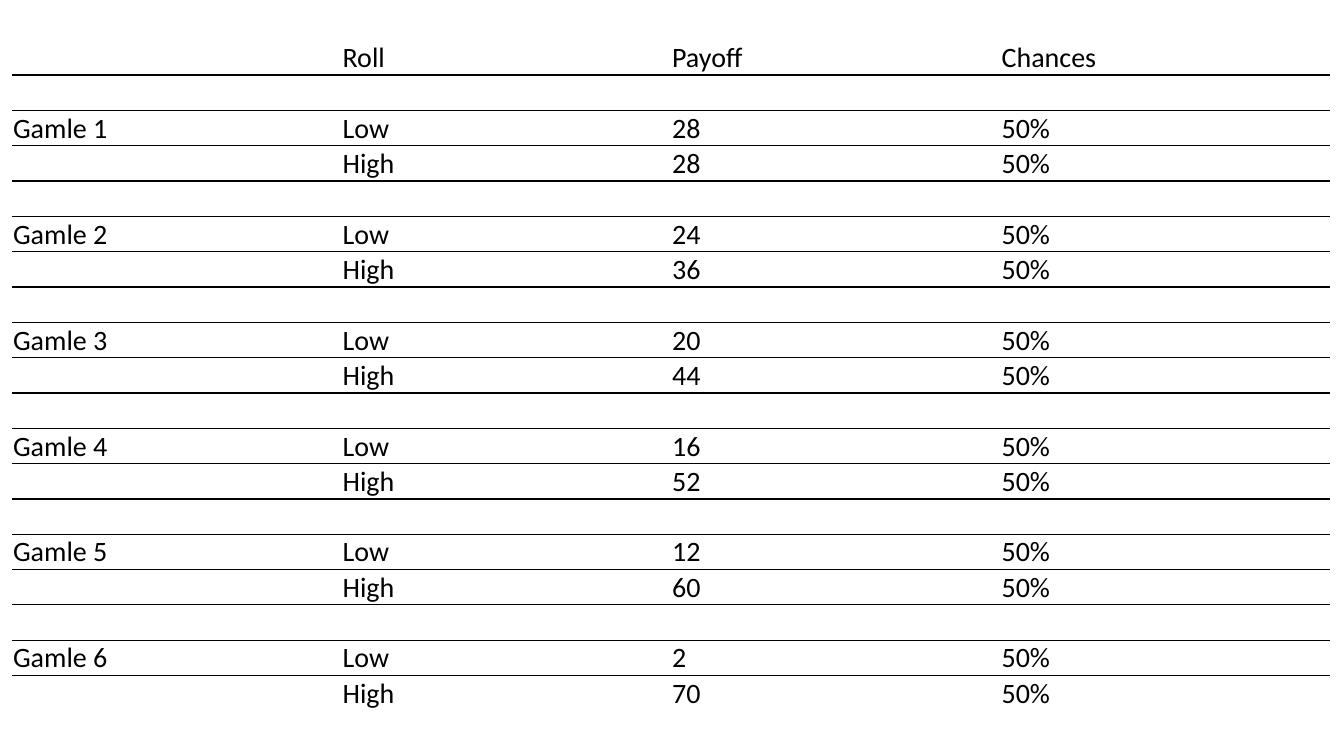
import dataclasses

import lxml.etree
import pptx
import pptx.dml.color
import pptx.enum.text
import pptx.oxml.ns
import pptx.util

Pt = pptx.util.Pt
qn = pptx.oxml.ns.qn


@dataclasses.dataclass(frozen=True)
class Theme:
    font: str = "Calibri"
    size: float = 20
    ink: str = "000000"
    rule: float = 1
    inset: float = 0.72
    plain_table: str = "{2D5ABB26-0587-4C30-8999-92F81FD0307C}"


THEME = Theme()
HEADER = ("", "Roll", "Payoff", "Chances")
PAYOFFS = ((28, 28), (24, 36), (20, 44), (16, 52), (12, 60), (2, 70))
CHANCE = "50%"


def write_text(tf, text, size=THEME.size, font=THEME.font, color=THEME.ink):
    r = tf.paragraphs[0].add_run()
    r.text = text
    r.font.size = Pt(size)
    r.font.name = font
    r.font.color.rgb = pptx.dml.color.RGBColor.from_string(color)


def add_rule(cell, side):
    tc_pr = cell._tc.get_or_add_tcPr()
    ln = lxml.etree.SubElement(tc_pr, qn(f"a:ln{side}"), w=str(Pt(THEME.rule)))
    fill = lxml.etree.SubElement(ln, qn("a:solidFill"))
    lxml.etree.SubElement(fill, qn("a:srgbClr"), val=THEME.ink)


def gamble_rows():
    rows = [HEADER]
    for number, (low, high) in enumerate(PAYOFFS, 1):
        rows += [
            ("",) * len(HEADER),
            (f"Gamle {number}", "Low", str(low), CHANCE),
            ("", "High", str(high), CHANCE),
        ]
    return rows


def add_gamble_table(s, left, top, width, height):
    rows = gamble_rows()
    frame = s.shapes.add_table(
        len(rows), len(HEADER), Pt(left), Pt(top), Pt(width), Pt(height)
    )
    table = frame.table
    table.horz_banding = False
    table._tbl.tblPr.find(qn("a:tableStyleId")).text = THEME.plain_table
    for column in table.columns:
        column.width = Pt(width / len(HEADER))
    for i, values in enumerate(rows):
        table.rows[i].height = Pt(height / len(rows))
        for j, text in enumerate(values):
            cell = table.cell(i, j)
            cell.margin_left = cell.margin_right = cell.margin_top = Pt(THEME.inset)
            cell.margin_bottom = Pt(0)
            cell.vertical_anchor = pptx.enum.text.MSO_ANCHOR.BOTTOM
            if i > 0:
                add_rule(cell, "T")
            if i < len(rows) - 1:
                add_rule(cell, "B")
            cell.fill.background()
            if text:
                write_text(cell.text_frame, text)


prs = pptx.Presentation()
prs.slide_width, prs.slide_height = Pt(960), Pt(540)
s = prs.slides.add_slide(prs.slide_layouts[6])
add_gamble_table(s, left=8.6, top=28.4, width=941.6, height=479.75)
prs.save("out.pptx")
